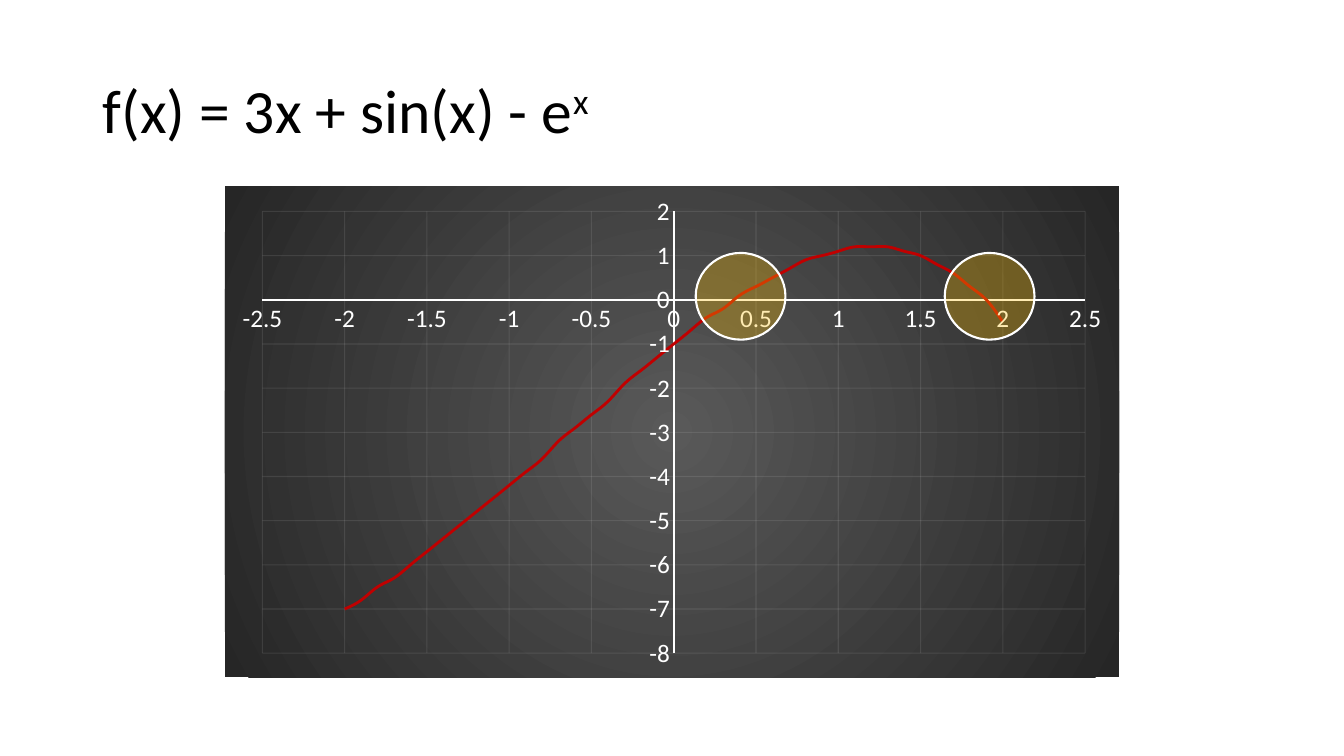
import math
import pptx
import pptx.chart.data
import pptx.dml.color
import pptx.enum.chart
import pptx.enum.shapes
import pptx.enum.text
import pptx.oxml
import pptx.oxml.ns
import pptx.util
from pptx.util import Inches
from lxml import etree

COLORS = {"text": "000000", "axis": "FFFFFF", "grid": "F2F2F2", "curve": "C00000",
          "root": "FFC000", "center": "595959", "edge": "262626"}
FONT = "Calibri"
TITLE = [("f(x) = 3x + sin(x) - e", 0), ("x", 30000)]
TITLE_BOX = (0.92, 0.4, 11.5, 1.45)
GRAPH_BOX = (2.23, 1.85, 8.87, 4.87)
PLOT_AREA = {"x": 0.042, "y": 0.051, "w": 0.92, "h": 0.9}
X_AXIS = (-2.5, 2.5, 0.5)
Y_AXIS = (-8, 2, 1)
ROOT_LEFTS = (6.9, 9.37)
ROOT_TOP, ROOT_WIDTH, ROOT_HEIGHT = 2.51, 0.89, 0.86
CURVE = [(step / 10, round(3 * step / 10 + math.sin(step / 10) - math.exp(step / 10), 1))
         for step in range(-20, 21)]
NS = pptx.oxml.ns.nsdecls("c", "a")


def rgb(name):
    return pptx.dml.color.RGBColor.from_string(COLORS[name])


def set_font(font, size, color):
    font.name = FONT
    font.size = pptx.util.Pt(size)
    font.color.rgb = rgb(color)


def add_text(paragraph, text, size=44, color="text", baseline=0):
    run = paragraph.add_run()
    run.text = text
    set_font(run.font, size, color)
    if baseline:
        run.font._element.set("baseline", str(baseline))


def set_line(line, color, width):
    line.color.rgb = rgb(color)
    line.width = pptx.util.Pt(width)


def set_alpha(element, percent):
    for color in element.xpath(".//a:solidFill/a:srgbClr"):
        etree.SubElement(color, pptx.oxml.ns.qn("a:alpha")).set("val", str(percent * 1000))


def style_axis(axis, scale):
    axis.minimum_scale, axis.maximum_scale, axis.major_unit = scale
    axis.major_tick_mark = axis.minor_tick_mark = pptx.enum.chart.XL_TICK_MARK.NONE
    axis.tick_label_position = pptx.enum.chart.XL_TICK_LABEL_POSITION.NEXT_TO_AXIS
    set_font(axis.tick_labels.font, 18, "axis")
    set_line(axis.format.line, "axis", 1.5)
    axis.has_major_gridlines = True
    set_line(axis.major_gridlines.format.line, "grid", 0.75)
    set_alpha(axis.major_gridlines._xAx.find(pptx.oxml.ns.qn("c:majorGridlines")), 10)


def add_title(slide):
    frame = slide.shapes.add_textbox(*map(Inches, TITLE_BOX)).text_frame
    frame.word_wrap = True
    frame.vertical_anchor = pptx.enum.text.MSO_ANCHOR.MIDDLE
    frame.paragraphs[0].line_spacing = 0.9
    for text, baseline in TITLE:
        add_text(frame.paragraphs[0], text, baseline=baseline)


def add_graph(slide):
    data = pptx.chart.data.XyChartData()
    points = data.add_series("Series 1")
    for x, y in CURVE:
        points.add_data_point(x, y)
    kind = pptx.enum.chart.XL_CHART_TYPE.XY_SCATTER_SMOOTH_NO_MARKERS
    graph = slide.shapes.add_chart(kind, *map(Inches, GRAPH_BOX), data).chart
    graph.has_legend = graph.has_title = False
    set_font(graph.font, 10, "text")
    style_axis(graph.category_axis, X_AXIS)
    style_axis(graph.value_axis, Y_AXIS)
    graph.plots[0].vary_by_categories = False
    curve = graph.plots[0].series[0]
    set_line(curve.format.line, "curve", 2)
    curve.marker.style = pptx.enum.chart.XL_MARKER_STYLE.NONE
    for smooth in curve._element.xpath("c:smooth"):
        smooth.set("val", "1")

    plot_area = graph._chartSpace.xpath("c:chart/c:plotArea")[0]
    for old_layout in plot_area.xpath("c:layout"):
        plot_area.remove(old_layout)
    sizes = "".join(f'<c:{key} val="{value}"/>' for key, value in PLOT_AREA.items())
    plot_area.insert(0, pptx.oxml.parse_xml(
        f'<c:layout {NS}><c:manualLayout><c:layoutTarget val="inner"/>'
        f'<c:xMode val="edge"/><c:yMode val="edge"/>{sizes}</c:manualLayout></c:layout>'))
    graph._chartSpace.xpath("c:chart")[0].addnext(pptx.oxml.parse_xml(
        f'<c:spPr {NS}><a:gradFill><a:gsLst>'
        f'<a:gs pos="0"><a:srgbClr val="{COLORS["center"]}"/></a:gs>'
        f'<a:gs pos="100000"><a:srgbClr val="{COLORS["edge"]}"/></a:gs></a:gsLst>'
        '<a:path path="circle"><a:fillToRect l="50000" t="50000" r="50000" b="50000"/></a:path>'
        '</a:gradFill><a:ln><a:noFill/></a:ln></c:spPr>'))


def add_roots(slide):
    roots = slide.shapes.add_group_shape()
    for left in ROOT_LEFTS:
        root = roots.shapes.add_shape(
            pptx.enum.shapes.MSO_SHAPE.OVAL,
            *map(Inches, (left, ROOT_TOP, ROOT_WIDTH, ROOT_HEIGHT)))
        root.shadow.inherit = False
        root.fill.solid()
        root.fill.fore_color.rgb = rgb("root")
        set_alpha(root._element.spPr, 30)
        set_line(root.line, "axis", 1.5)


def main():
    deck = pptx.Presentation()
    deck.slide_width, deck.slide_height = Inches(13.33), Inches(7.5)
    slide = deck.slides.add_slide(deck.slide_layouts[6])
    add_title(slide)
    add_graph(slide)
    add_roots(slide)
    deck.save("out.pptx")


if __name__ == "__main__":
    main()
